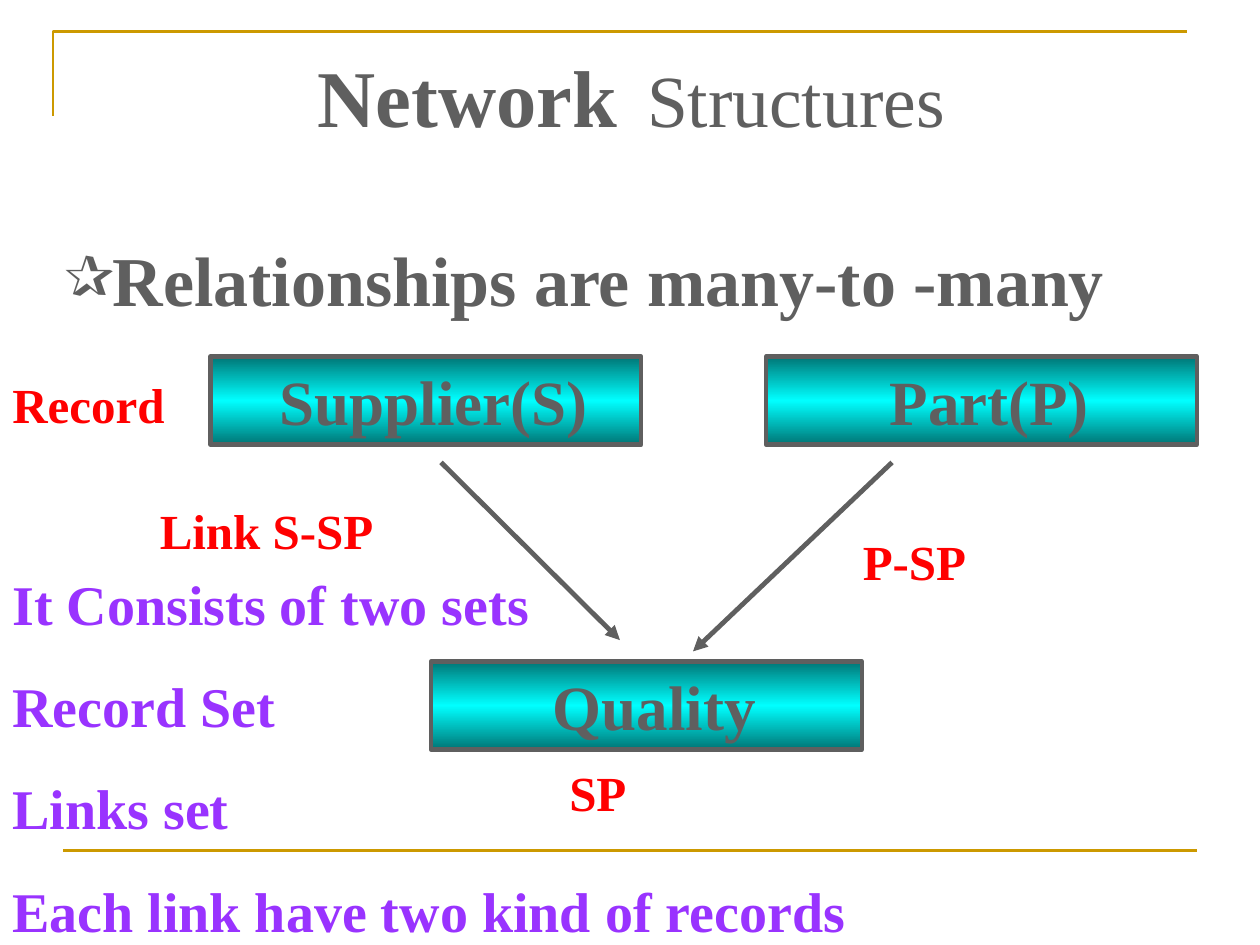
from collections import namedtuple
from copy import deepcopy
from dataclasses import dataclass

from lxml.etree import SubElement
from pptx import Presentation
from pptx.dml.color import RGBColor
from pptx.enum.shapes import MSO_CONNECTOR, MSO_SHAPE
from pptx.enum.text import MSO_ANCHOR, PP_ALIGN
from pptx.oxml.ns import qn
from pptx.util import Inches, Pt

Box = namedtuple("Box", "left top width height")


@dataclass(frozen=True)
class Theme:
    font: str = "Times New Roman"
    gray: RGBColor = RGBColor(0x5F, 0x5F, 0x5F)
    gold: RGBColor = RGBColor(0xCC, 0x99, 0x00)
    red: RGBColor = RGBColor(0xFF, 0x00, 0x00)
    purple: RGBColor = RGBColor(0x99, 0x33, 0xFF)
    teal: RGBColor = RGBColor(0x00, 0x75, 0x75)
    cyan: RGBColor = RGBColor(0x00, 0xFF, 0xFF)
    title_bold: int = 46
    title_plain: int = 42
    title_space: int = 69
    heading: int = 40
    record: int = 36
    notes: int = 32
    label: int = 28


THEME = Theme()


def style_font(font, size, color, bold=True):
    font.name = THEME.font
    font.size = Pt(size)
    font.bold = bold
    font.color.rgb = color


def add_text_box(slide, box, lines, size, color, space_before=0):
    shape = slide.shapes.add_textbox(*map(Inches, box))
    frame = shape.text_frame
    frame.word_wrap = True
    for index, line in enumerate(lines):
        paragraph = frame.paragraphs[0] if index == 0 else frame.add_paragraph()
        paragraph.text = line
        if index:
            paragraph.space_before = Pt(space_before)
        style_font(paragraph.font, size, color)
    return frame


def add_line(slide, start, end, color, width, arrow=False):
    line = slide.shapes.add_connector(
        MSO_CONNECTOR.STRAIGHT, *map(Inches, (*start, *end)))
    line.line.color.rgb = color
    line.line.width = Pt(width)
    properties = line._element.spPr
    if arrow:
        SubElement(properties.find(qn("a:ln")), qn("a:tailEnd"), type="triangle")
    SubElement(properties, qn("a:effectLst"))


def add_frame(slide, box):
    right, bottom = box.left + box.width, box.top + box.height
    builder = slide.shapes.build_freeform(
        Inches(box.left), Inches(box.top + 0.67))
    builder.add_line_segments(
        [(Inches(box.left), Inches(box.top)),
         (Inches(right - 0.08), Inches(box.top))], close=False)
    corner = builder.convert_to_shape()
    corner.shadow.inherit = False
    corner.fill.background()
    corner.line.color.rgb = THEME.gold
    corner.line.width = Pt(1.5)
    add_line(slide, (box.left + 0.08, bottom), (right, bottom), THEME.gold, 1.5)


def add_title(slide, box):
    frame = slide.shapes.add_textbox(*map(Inches, box)).text_frame
    frame.word_wrap = True
    frame.vertical_anchor = MSO_ANCHOR.BOTTOM
    paragraph = frame.paragraphs[0]
    paragraph.alignment = PP_ALIGN.CENTER
    for text, size, bold in (
        ("Network", THEME.title_bold, True),
        (" ", THEME.title_space, True),
        ("Structures", THEME.title_plain, False),
        (" ", THEME.title_space, True),
    ):
        run = paragraph.add_run()
        run.text = text
        style_font(run.font, size, THEME.gray, bold)


def add_heading(slide, box):
    frame = add_text_box(slide, box, ["Relationships are many-to -many"],
                         THEME.heading, THEME.gray)
    paragraph = frame.paragraphs[0]
    properties = paragraph._p.get_or_add_pPr()
    bullet = SubElement(properties, qn("a:buChar"), char="✰")
    properties.remove(bullet)
    properties.insert(0, bullet)


def add_record(slide, box, name):
    shape = slide.shapes.add_shape(MSO_SHAPE.RECTANGLE, *map(Inches, box))
    shape.shadow.inherit = False
    shape.fill.gradient()
    shape.fill.gradient_angle = 90
    stops = shape._element.spPr.find(qn("a:gradFill")).find(qn("a:gsLst"))
    stops.insert(1, deepcopy(stops[0]))
    colors = (THEME.teal, THEME.cyan, THEME.teal)
    for index, (stop, color) in enumerate(zip(shape.fill.gradient_stops, colors)):
        stop.position = index / 2
        stop.color.rgb = color
    shape.line.color.rgb = THEME.gray
    shape.line.width = Pt(2.5)
    frame = shape.text_frame
    frame.vertical_anchor = MSO_ANCHOR.TOP
    paragraph = frame.paragraphs[0]
    paragraph.text = name
    paragraph.alignment = PP_ALIGN.CENTER
    style_font(paragraph.font, THEME.record, THEME.gray)


def add_network(slide, box):
    for name, left, top in (
        (" Supplier(S)", 1.67, 0),
        (" Part(P)", 6.08, 0),
        (" Quality", 3.42, 2.42),
    ):
        add_record(slide, Box(box.left + left, box.top + top, 3.42, 0.7), name)
    for start, end in (
        ((3.5, 0.84), (4.92, 2.25)),
        ((7.08, 0.84), (5.5, 2.34)),
    ):
        add_line(slide, (box.left + start[0], box.top + start[1]),
                 (box.left + end[0], box.top + end[1]), THEME.gray, 2.75, arrow=True)
    for text, left, top, width in (
        ("Record", 0, 0.09, 1.42),
        ("Link S-SP", 1.17, 1.09, 2.25),
        ("P-SP", 6.75, 1.34, 1.83),
        ("SP", 4.42, 3.17, 1.83),
    ):
        add_text_box(slide, Box(box.left + left, box.top + top, width, 0.57),
                     [text], THEME.label, THEME.red)


def add_notes(slide, box):
    lines = ["It Consists of two sets", "Record Set", "Links set",
             "Each link have two kind of records"]
    add_text_box(slide, box, lines, THEME.notes, THEME.purple, space_before=20)


def main():
    presentation = Presentation()
    presentation.slide_width = Inches(10)
    presentation.slide_height = Inches(7.5)
    slide = presentation.slides.add_slide(presentation.slide_layouts[6])
    add_frame(slide, Box(0.42, 0.25, 9.08, 6.5))
    add_title(slide, Box(0.67, 0, 8.92, 1.25))
    add_heading(slide, Box(0.42, 1.83, 9.33, 0.77))
    add_network(slide, Box(0, 2.83, 10, 3.74))
    add_notes(slide, Box(0, 4.47, 9.08, 3.07))
    presentation.save("out.pptx")


if __name__ == "__main__":
    main()
